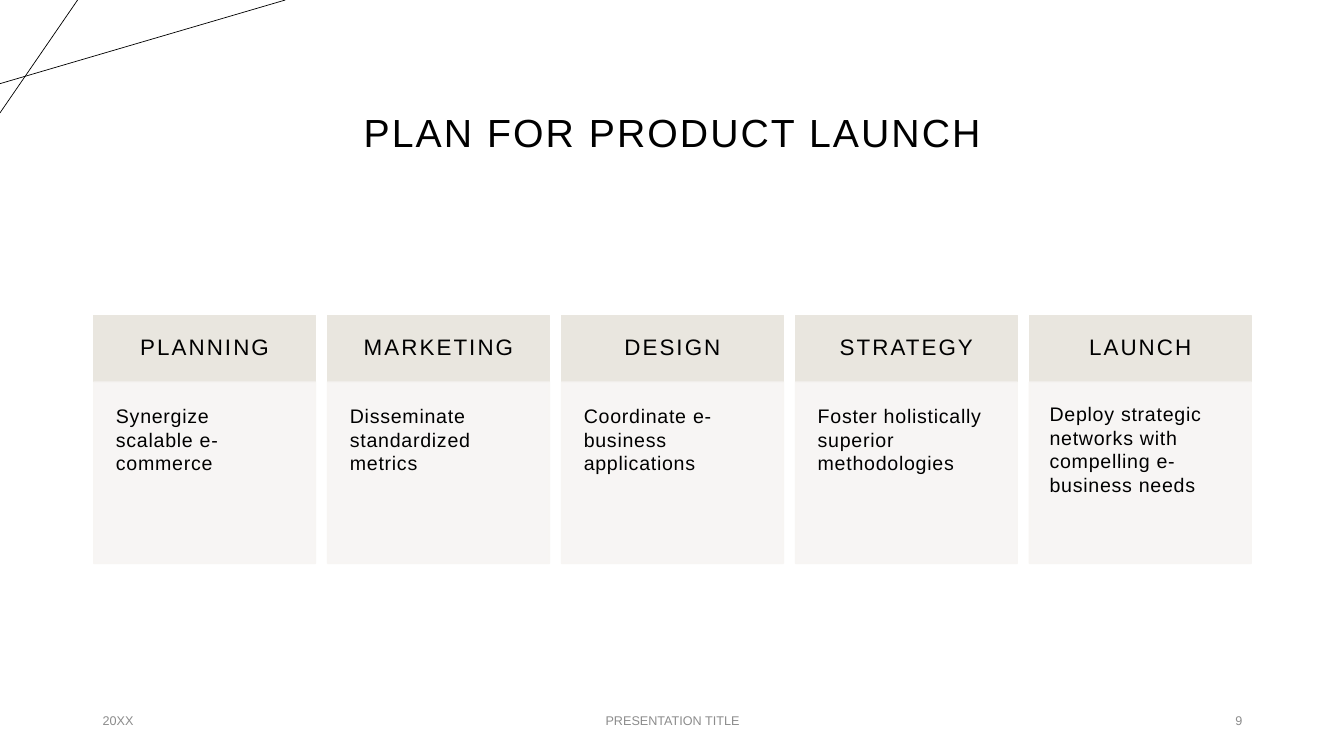
from lxml import etree
from pptx import Presentation
from pptx.dml.color import RGBColor
from pptx.enum import shapes, text
from pptx.oxml import ns
from pptx.util import Inches, Pt

COLORS = {"ink": "000000", "heading": "E9E6DF", "body": "F7F5F3", "footer": "8C8C8C"}
FONT = "Arial"
PHASES = [
    ("PLANNING", "Synergize scalable e-commerce", 0.22),
    ("MARKETING", "Disseminate standardized metrics", 0.22),
    ("DESIGN", "Coordinate e-business applications", 0.22),
    ("STRATEGY", "Foster holistically superior methodologies", 0.22),
    ("LAUNCH", "Deploy strategic networks with compelling e-business needs", 0.2),
]


def rgb(name):
    return RGBColor.from_string(COLORS[name])


def write(frame, wording, size, align, anchor, color="ink", tracking=0,
          inset=None, line_spacing=None):
    """Set one paragraph of text and format it."""
    frame.text = wording
    frame.word_wrap = True
    frame.auto_size = text.MSO_AUTO_SIZE.NONE
    frame.vertical_anchor = anchor
    if inset is not None:
        frame.margin_left = frame.margin_right = Inches(inset)
        frame.margin_top = frame.margin_bottom = Inches(inset)
    paragraph = frame.paragraphs[0]
    paragraph.alignment = align
    if line_spacing:
        paragraph.line_spacing = line_spacing
    run = paragraph.runs[0]
    run.font.name = FONT
    run.font.size = Pt(size)
    run.font.color.rgb = rgb(color)
    if tracking:
        run.font._element.set("spc", str(int(tracking * 100)))


def add_panel(slide, left, top, width, height, color, opacity=100):
    panel = slide.shapes.add_shape(
        shapes.MSO_SHAPE.RECTANGLE,
        Inches(left), Inches(top), Inches(width), Inches(height))
    panel.shadow.inherit = False
    panel.fill.solid()
    panel.fill.fore_color.rgb = rgb(color)
    panel.line.color.rgb = rgb(color)
    panel.line.width = Pt(1)
    if opacity < 100:
        for tint in panel._element.spPr.iter(ns.qn("a:srgbClr")):
            etree.SubElement(tint, ns.qn("a:alpha")).set("val", str(opacity * 1000))
    return panel


def add_corner_lines(slide):
    for x1, y1, x2, y2 in [(0, 0.83, 2.83, 0), (0.77, 0, 0, 1.12)]:
        stroke = slide.shapes.add_connector(
            shapes.MSO_CONNECTOR.STRAIGHT,
            Inches(x1), Inches(y1), Inches(x2), Inches(y2))
        stroke.line.color.rgb = rgb("ink")
        stroke.line.width = Pt(0.5)
        etree.SubElement(stroke._element.spPr, ns.qn("a:effectLst"))


def add_title(slide, left, top, width, height):
    title = slide.shapes.title
    title.left, title.top = Inches(left), Inches(top)
    title.width, title.height = Inches(width), Inches(height)
    write(title.text_frame, "PLAN FOR PRODUCT LAUNCH", 28, text.PP_ALIGN.CENTER,
          text.MSO_ANCHOR.BOTTOM, tracking=1.5, line_spacing=0.9)


def add_phases(slide, left, top, width, height):
    """Equal columns, each a heading over a description."""
    gap, heading_height = 0.12, 0.66
    column = (width - gap * (len(PHASES) - 1)) / len(PHASES)
    for index, (name, description, inset) in enumerate(PHASES):
        x = left + index * (column + gap)
        heading = add_panel(slide, x, top, column, heading_height, "heading")
        write(heading.text_frame, name, 16, text.PP_ALIGN.CENTER,
              text.MSO_ANCHOR.MIDDLE, tracking=1.5, inset=0.17, line_spacing=0.9)
        body = add_panel(slide, x, top + heading_height, column,
                         height - heading_height, "body", opacity=90)
        write(body.text_frame, description, 14, text.PP_ALIGN.LEFT,
              text.MSO_ANCHOR.TOP, tracking=0.5, inset=inset)


def add_footer(slide, left, top, width, height):
    side, middle = 3, 4.5
    for wording, x, part_width, align in [
        ("20XX", left, side, text.PP_ALIGN.LEFT),
        ("PRESENTATION TITLE", left + (width - middle) / 2, middle, text.PP_ALIGN.CENTER),
        ("9", left + width - side, side, text.PP_ALIGN.RIGHT),
    ]:
        part = slide.shapes.add_textbox(
            Inches(x), Inches(top), Inches(part_width), Inches(height))
        write(part.text_frame, wording, 9, align, text.MSO_ANCHOR.MIDDLE, "footer")


def main():
    deck = Presentation()
    deck.slide_width, deck.slide_height = Inches(13.33), Inches(7.5)
    slide = deck.slides.add_slide(deck.slide_layouts[5])  # title only
    add_corner_lines(slide)
    add_title(slide, 0.92, 0.15, 11.5, 1.45)
    add_phases(slide, 0.93, 3.13, 11.48, 2.46)
    add_footer(slide, 0.92, 6.95, 11.5, 0.4)
    deck.save("out.pptx")


if __name__ == "__main__":
    main()
